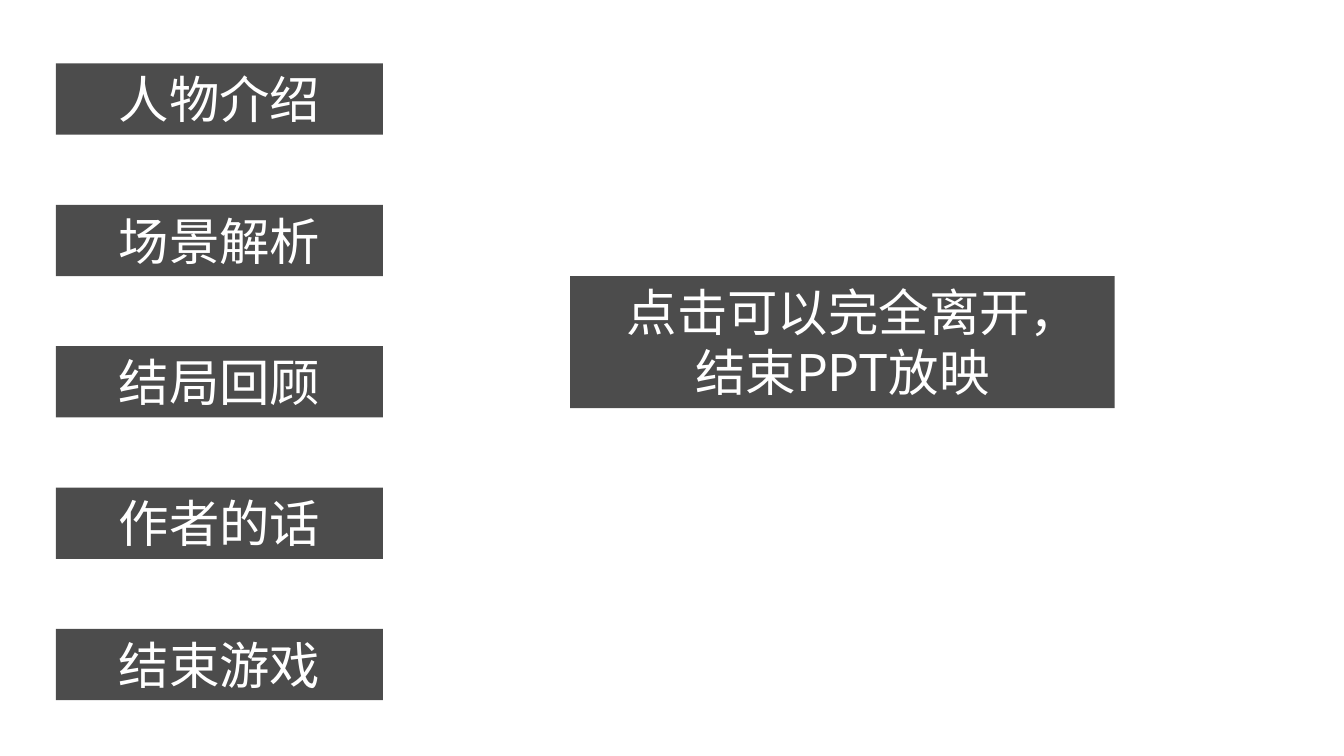
from lxml import etree
from pptx import Presentation
from pptx.dml.color import RGBColor
from pptx.enum.shapes import MSO_SHAPE
from pptx.enum.text import MSO_ANCHOR, MSO_AUTO_SIZE, PP_ALIGN
from pptx.oxml.ns import qn
from pptx.util import Pt

RECTANGLE = MSO_SHAPE.RECTANGLE
CENTER = PP_ALIGN.CENTER
TOP = MSO_ANCHOR.TOP
FIT_SHAPE = MSO_AUTO_SIZE.SHAPE_TO_FIT_TEXT

FONT = "Noto Sans CJK SC"
FONT_SIZE = 36
BLACK = "000000"
WHITE = "FFFFFF"
OPACITY = 70

MENU_ITEMS = ["人物介绍", "场景解析", "结局回顾", "作者的话", "结束游戏"]
MENU_LEFT, MENU_TOP = 40, 45.3
MENU_WIDTH, MENU_HEIGHT = 233.5, 50.9
MENU_PITCH = 101
EXIT_HINT = ["点击可以完全离开，", "结束PPT放映"]
HINT_INDENT = 16


def color(hex_value):
    """Return the RGB colour for a hex string."""
    return RGBColor.from_string(hex_value)


def fill_translucent(shape, hex_value, opacity):
    """Fill a shape with a colour at an opacity in percent."""
    shape.fill.solid()
    shape.fill.fore_color.rgb = color(hex_value)
    color_element = shape.fill._xPr.find(qn("a:solidFill"))[0]
    etree.SubElement(color_element, qn("a:alpha"), val=str(opacity * 1000))


def add_line(paragraph, text, indent=0):
    """Write one centred line of label text."""
    paragraph.alignment = CENTER
    if indent:
        paragraph._p.get_or_add_pPr().set("marL", str(Pt(indent)))
    run = paragraph.add_run()
    run.text = text
    run.font.name = FONT
    run.font.size = Pt(FONT_SIZE)
    run.font.color.rgb = color(WHITE)
    etree.SubElement(run.font._element, qn("a:ea"), typeface=FONT)


def add_label(slide, left, top, width, height, lines, first_indent=0):
    """Add a translucent dark box holding centred lines."""
    shape = slide.shapes.add_shape(
        RECTANGLE, Pt(left), Pt(top), Pt(width), Pt(height))
    shape.shadow.inherit = False
    shape.line.fill.background()
    fill_translucent(shape, BLACK, OPACITY)
    frame = shape.text_frame
    frame.word_wrap = True
    frame.auto_size = FIT_SHAPE
    frame.vertical_anchor = TOP
    add_line(frame.paragraphs[0], lines[0], first_indent)
    for text in lines[1:]:
        add_line(frame.add_paragraph(), text)


def main():
    """Build the menu slide and save it."""
    presentation = Presentation()
    presentation.slide_width = Pt(960)
    presentation.slide_height = Pt(540)
    slide = presentation.slides.add_slide(presentation.slide_layouts[6])
    for index, item in enumerate(MENU_ITEMS):
        top = MENU_TOP + index * MENU_PITCH
        add_label(slide, MENU_LEFT, top, MENU_WIDTH, MENU_HEIGHT, [item])
    add_label(slide, 407.2, 197.2, 389, 94.3, EXIT_HINT, HINT_INDENT)
    presentation.save("out.pptx")


if __name__ == "__main__":
    main()
